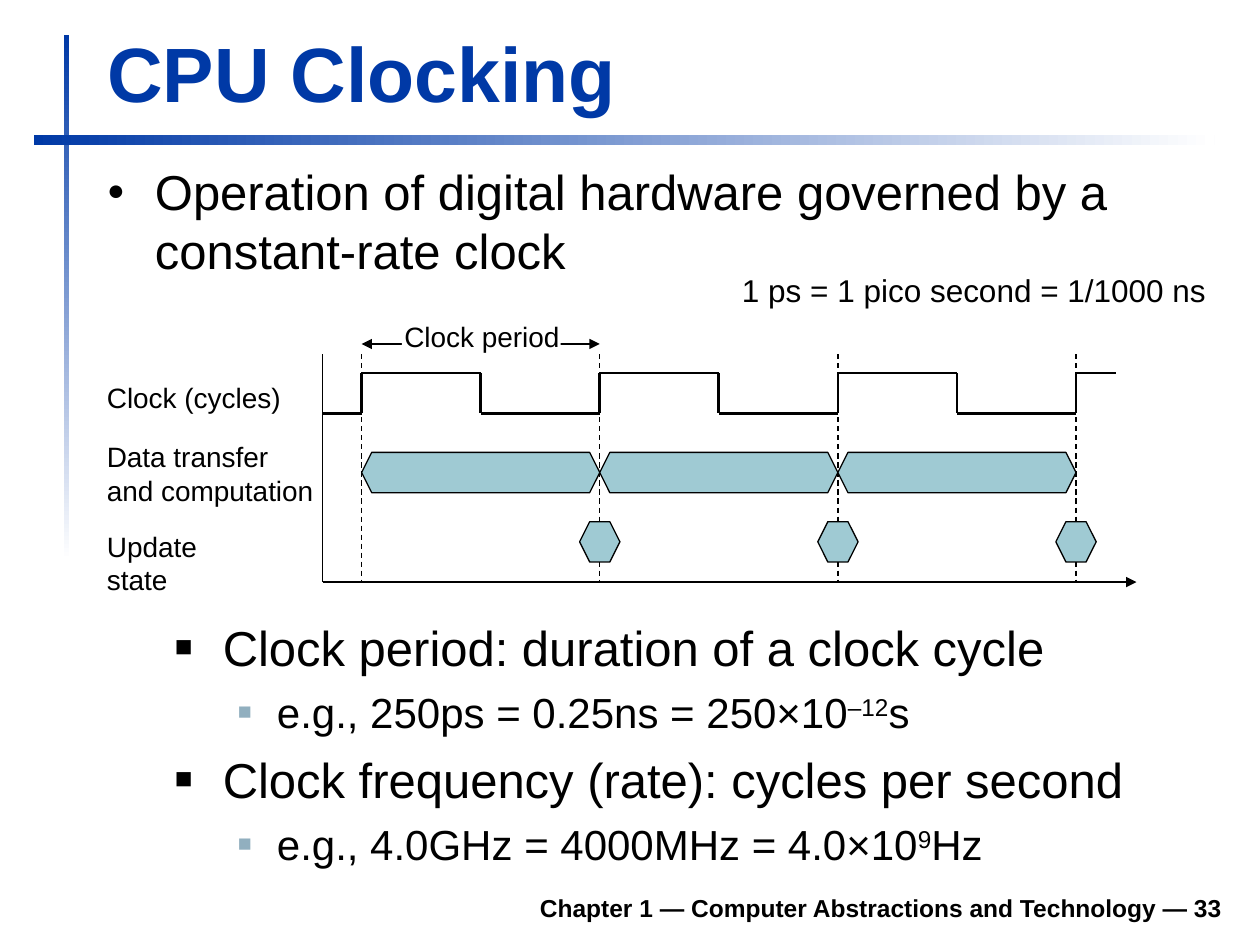
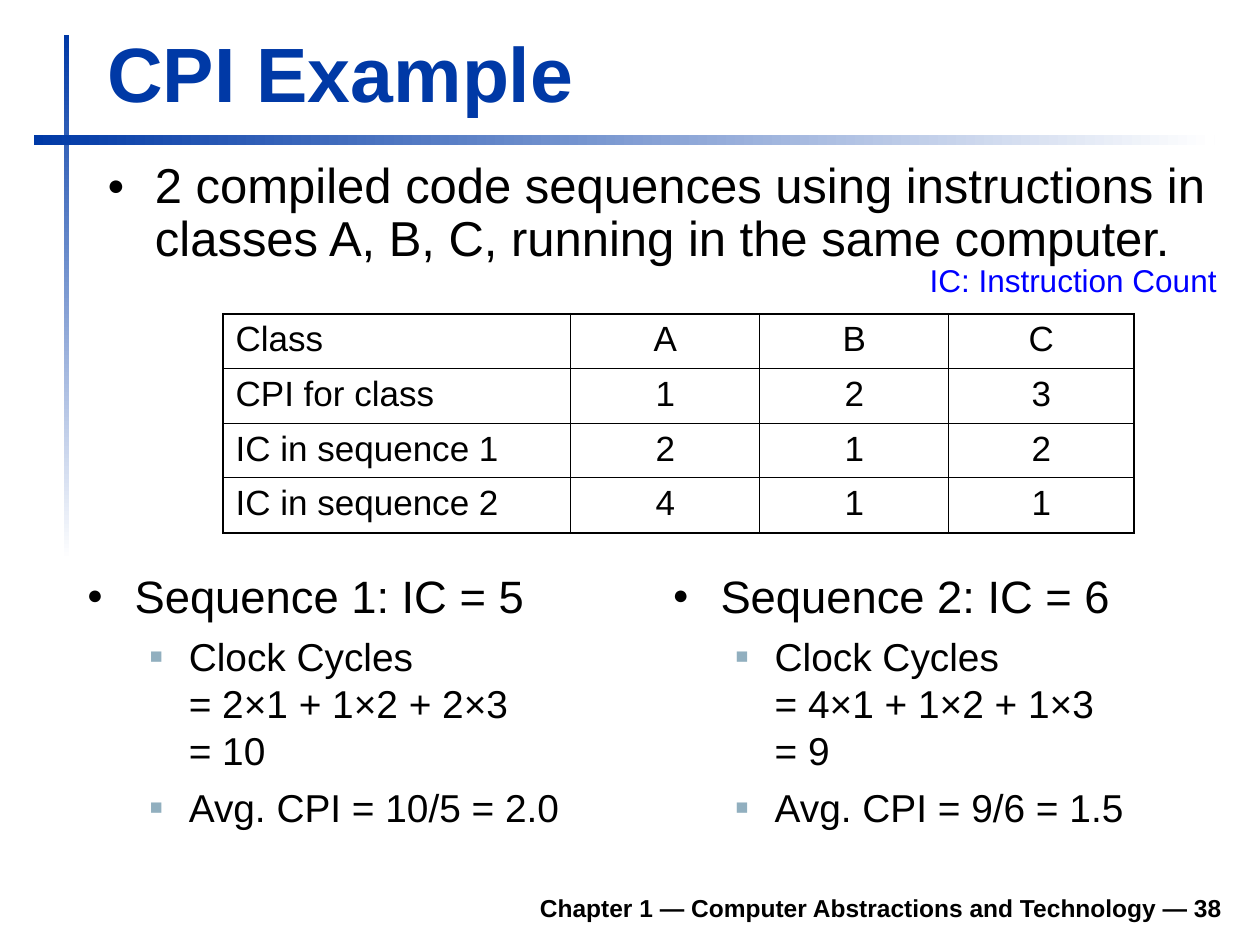
from lxml import etree
from pptx import Presentation
from pptx.dml.color import RGBColor
from pptx.enum import dml, shapes, text
from pptx.oxml.ns import qn
from pptx.util import Inches, Pt

rgb = RGBColor.from_string
BLUE, BLACK, WHITE, TEAL, GREY = "0039A6", "000000", "FFFFFF", "9FCAD3", "91AFBF"
DOT = dict(bullet="●", bullet_color=BLACK, bullet_size=60, margin=0.38, hang=0.38, before=7)
SQUARE = DOT | dict(bullet="■")
SUB = dict(bullet="■", bullet_color=GREY, bullet_size=55, margin=0.81, hang=0.31, before=6, level=1)


def write(tf, content, size=16, color=BLACK, bold=False, align="LEFT", bullet=None,
          bullet_color=BLACK, bullet_size=60, margin=0, hang=0, before=0, level=0, spacing=None):
    first = not tf.paragraphs[0].runs
    p = tf.paragraphs[0] if first else tf.add_paragraph()
    p.level = level
    p.alignment = getattr(text.PP_ALIGN, align)
    p.space_before = Pt(0 if first else before)
    if spacing:
        p.line_spacing = spacing
    if bullet:
        pPr = p._p.get_or_add_pPr()
        pPr.set("marL", str(Inches(margin)))
        pPr.set("indent", str(-Inches(hang)))
        clr = etree.SubElement(pPr, qn("a:buClr"))
        etree.SubElement(clr, qn("a:srgbClr"), val=bullet_color)
        etree.SubElement(pPr, qn("a:buSzPct"), val=str(bullet_size * 1000))
        etree.SubElement(pPr, qn("a:buFont"), typeface="Arial")
        etree.SubElement(pPr, qn("a:buChar"), char=bullet)
    for n, row in enumerate(content.split("\n")):
        if n:
            p.add_line_break()
        for i, part in enumerate(row.split("^")):
            r = p.add_run()
            r.text = part
            r.font.name, r.font.size, r.font.bold = "Arial", Pt(size), bold
            r.font.color.rgb = rgb(color)
            if i % 2:
                r._r.get_or_add_rPr().set("baseline", "30000")


def line(s, x1, y1, x2, y2, width=0.75, dash=False, head=False, tail=False):
    c = s.shapes.add_connector(shapes.MSO_CONNECTOR.STRAIGHT,
                               Inches(x1), Inches(y1), Inches(x2), Inches(y2))
    c.line.color.rgb = rgb(BLACK)
    c.line.width = Pt(width)
    if dash:
        c.line.dash_style = dml.MSO_LINE.DASH
    ln = c.line._get_or_add_ln()
    for tag, wanted in (("a:headEnd", head), ("a:tailEnd", tail)):
        if wanted:
            etree.SubElement(ln, qn(tag), type="triangle")
    etree.SubElement(c._element.spPr, qn("a:effectLst"))


prs = Presentation()
prs.slide_width, prs.slide_height = Inches(10), Inches(7.5)

slides = []
for title, number, intro, height, spacing in [
    ("CPU Clocking", 33, "Operation of digital hardware governed by a constant-rate clock", 1.34, None),
    ("CPI Example", 38, "2 compiled code sequences using instructions in classes A, B, C, "
     "running in the same computer.", 1.09, 0.9),
]:
    s = prs.slides.add_slide(prs.slide_layouts[1])
    slides.append(s)
    for box, angle in [((0.51, 0.28, 0.04, 4.17), 270), ((0.27, 1.07, 9.37, 0.08), 0)]:
        sp = s.shapes.add_shape(shapes.MSO_SHAPE.RECTANGLE, *map(Inches, box))
        sp.shadow.inherit = False
        sp.line.fill.background()
        sp.fill.gradient()
        sp.fill.gradient_angle = angle
        for stop, color, position in zip(sp.fill.gradient_stops, (BLUE, WHITE), (0, 1)):
            stop.color.rgb = rgb(color)
            stop.position = position

    for sp, box in [(s.shapes.title, (0.75, 0.16, 9.03, 0.83)),
                    (s.placeholders[1], (0.75, 1.23, 9.04, height))]:
        sp.left, sp.top, sp.width, sp.height = map(Inches, box)
        sp.text_frame.auto_size = text.MSO_AUTO_SIZE.NONE
    tf = s.shapes.title.text_frame
    tf.vertical_anchor = text.MSO_ANCHOR.BOTTOM
    write(tf, title, size=44, color=BLUE, bold=True)
    write(s.placeholders[1].text_frame, intro, size=28, spacing=spacing, **DOT)

    tf = s.shapes.add_textbox(Inches(1.85), Inches(6.98), Inches(7.95), Inches(0.39)).text_frame
    tf.word_wrap = True
    tf.vertical_anchor = text.MSO_ANCHOR.BOTTOM
    write(tf, f"Chapter 1 — Computer Abstractions and Technology — {number}",
          size=14, bold=True, align="RIGHT")

clocking, cpi = slides

period, low, high, axis_x, axis_y = 1.89, 3.28, 2.96, 2.56, 4.62
edges = [2.87 + period * i for i in range(4)]
line(clocking, edges[0], 2.73, edges[1], 2.73, head=True, tail=True)
for x in edges:
    line(clocking, x, 2.81, x, axis_y, dash=True)

wave = [(axis_x, low)]
for x in edges[:-1]:
    middle = x + period / 2
    wave += [(x, low), (x, high), (middle, high), (middle, low)]
wave += [(edges[-1], low), (edges[-1], high), (8.86, high)]
for start, end in zip(wave, wave[1:]):
    line(clocking, *start, *end, width=1.5)

line(clocking, axis_x, axis_y, 9.02, axis_y, tail=True)
line(clocking, axis_x, axis_y, axis_x, 2.81)

transfers = [(x + period / 2, 3.75, period / 2) for x in edges[:-1]]
updates = [(x, 4.3, 0.16) for x in edges[1:]]
for x, y, half in transfers + updates:
    flat = half - 0.08
    corners = [(x - flat, y - 0.16), (x + flat, y - 0.16), (x + half, y),
               (x + flat, y + 0.16), (x - flat, y + 0.16)]
    outline = clocking.shapes.build_freeform(Inches(x - half), Inches(y))
    outline.add_line_segments([(Inches(a), Inches(b)) for a, b in corners])
    sp = outline.convert_to_shape()
    sp.shadow.inherit = False
    sp.fill.solid()
    sp.fill.fore_color.rgb = rgb(TEAL)
    sp.line.color.rgb = rgb(BLACK)
    sp.line.width = Pt(0.75)

sp = clocking.shapes.add_shape(shapes.MSO_SHAPE.RECTANGLE,
                               Inches(3.19), Inches(2.65), Inches(1.26), Inches(0.16))
sp.shadow.inherit = False
sp.fill.solid()
sp.fill.fore_color.rgb = rgb(WHITE)
sp.line.fill.background()

for s, box, content, style in [
    (clocking, (0.75, 2.97, 1.58, 0.37), "Clock (cycles)", {}),
    (clocking, (0.75, 3.44, 1.84, 0.64), "Data transfer\nand computation", {}),
    (clocking, (0.75, 4.15, 1.45, 0.37), "Update state", {}),
    (clocking, (3.11, 2.49, 1.43, 0.37), "Clock period", dict(align="CENTER")),
    (clocking, (5.79, 2.1, 4.02, 0.4), "1 ps = 1 pico second = 1/1000 ns", dict(size=18)),
    (cpi, (7.28, 2.02, 2.6, 0.4), "IC: Instruction Count", dict(size=18, color="0000FF")),
]:
    tf = s.shapes.add_textbox(*map(Inches, box)).text_frame
    tf.word_wrap = False
    write(tf, content, **style)

definitions = [
    ("Clock period: duration of a clock cycle", 28, SQUARE),
    ("e.g., 250ps = 0.25ns = 250×10^–12^s", 24, SUB),
    ("Clock frequency (rate): cycles per second", 28, SQUARE),
    ("e.g., 4.0GHz = 4000MHz = 4.0×10^9^Hz", 24, SUB),
]
lists = [(clocking, (1.29, 4.85, 8.5, 2.13), definitions)]
for i, (count, products, cycles, average) in enumerate([
    (5, "2×1 + 1×2 + 2×3", 10, "2.0"),
    (6, "4×1 + 1×2 + 1×3", 9, "1.5"),
]):
    lists.append((cpi, (0.59 + 4.65 * i, 4.46, 4.25, 2.28), [
        (f"Sequence {i + 1}: IC = {count}", 25.9, DOT),
        (f"Clock Cycles\n= {products}\n= {cycles}", 22.2, SUB),
        (f"Avg. CPI = {cycles}/{count} = {average}", 22.2, SUB),
    ]))
for s, box, items in lists:
    tf = s.shapes.add_textbox(*map(Inches, box)).text_frame
    tf.word_wrap = True
    for content, size, style in items:
        write(tf, content, size=size, **style)

rows = [
    ("Class", "A", "B", "C"),
    ("CPI for class", "1", "2", "3"),
    ("IC in sequence 1", "2", "1", "2"),
    ("IC in sequence 2", "4", "1", "1"),
]
table = cpi.shapes.add_table(4, 4, Inches(1.77), Inches(2.49), Inches(7.22), Inches(1.74)).table
table.first_row = table.horz_banding = False
for column, width in zip(table.columns, (2.76, 1.5, 1.5, 1.47)):
    column.width = Inches(width)
for i, row in enumerate(rows):
    table.rows[i].height = Inches(0.44 if i == 3 else 0.43)
    for j, value in enumerate(row):
        cell = table.cell(i, j)
        write(cell.text_frame, value, size=20, align="CENTER" if j else "LEFT")
        tcPr = cell._tc.get_or_add_tcPr()
        for side, outer in (("L", j == 0), ("R", j == 3), ("T", i == 0), ("B", i == 3)):
            ln = etree.SubElement(tcPr, qn(f"a:ln{side}"), w=str(Pt(1.08 if outer else 0.45)))
            fill = etree.SubElement(ln, qn("a:solidFill"))
            etree.SubElement(fill, qn("a:srgbClr"), val=BLACK)
        cell.fill.background()

prs.save("out.pptx")
